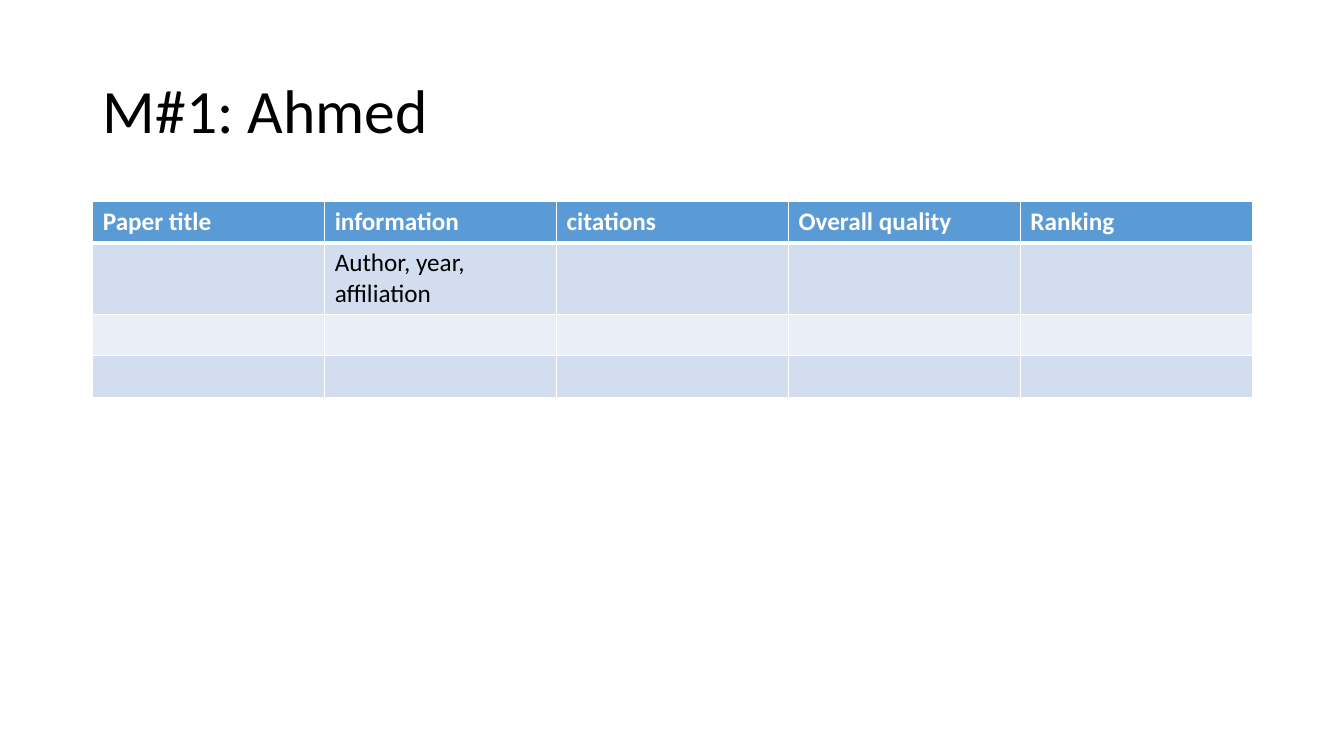
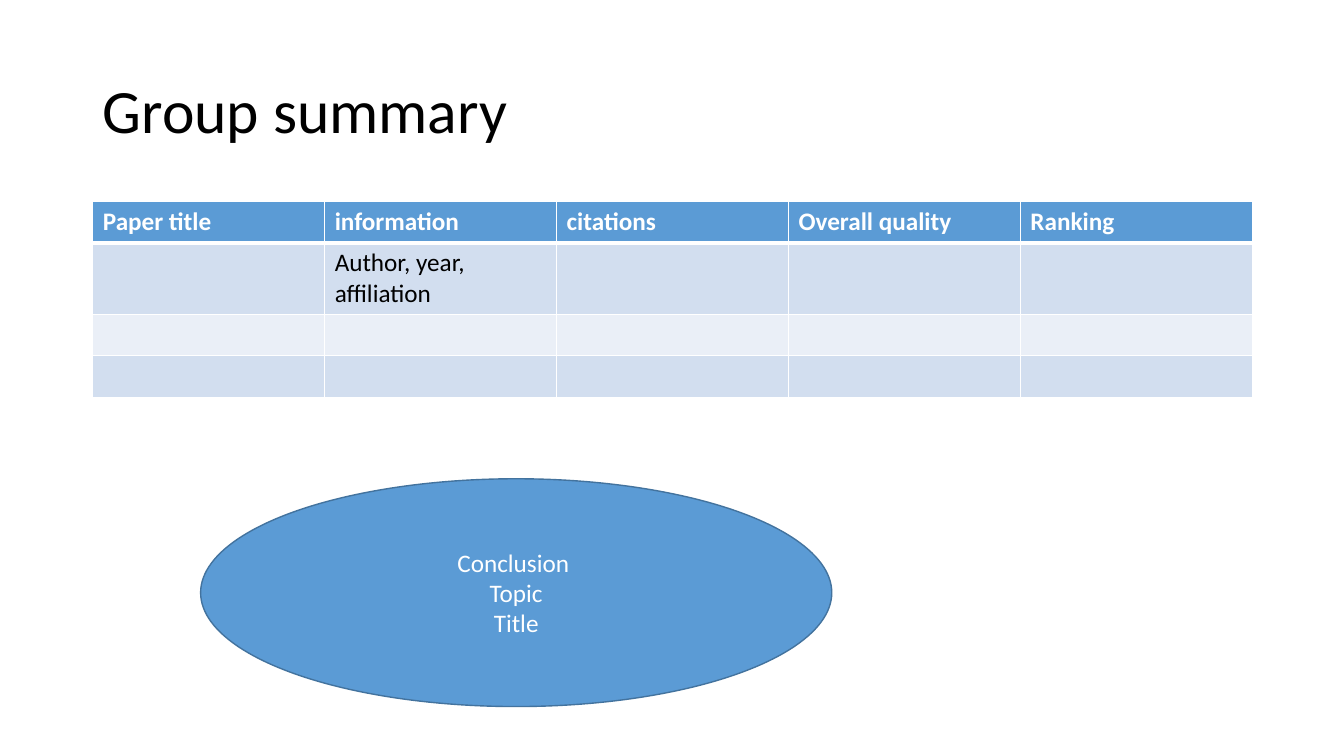
from dataclasses import dataclass

from lxml.etree import SubElement
from pptx import Presentation
from pptx.dml.color import RGBColor
from pptx.enum.shapes import MSO_SHAPE as SHAPE
from pptx.enum.text import MSO_ANCHOR as ANCHOR, PP_ALIGN as ALIGN
from pptx.oxml.ns import qn
from pptx.util import Emu, Pt

EMU_PER_PX = 9144  # 100 px to the inch
TITLE_ONLY = 5


@dataclass(frozen=True)
class Theme:
    font: str = "Calibri"
    title_size: int = 44
    text_size: int = 18
    rule: int = 1
    header_rule: int = 3
    dark: str = "000000"
    light: str = "FFFFFF"
    accent: str = "5B9BD5"
    outline: str = "43739E"
    bands: tuple = ("D2DEEF", "EAEFF7")


THEME = Theme()

# Content shared by both slides
LEFT, COL_W, ROW_H = 92, 230, 41
HEADERS = ["Paper title", "information", "citations", "Overall quality", "Ranking"]
ROWS = [HEADERS, ["", "Author, year, affiliation", "", "", ""], [""] * 5, [""] * 5]


def px(*lengths):
    return [Emu(n * EMU_PER_PX) for n in lengths]


def rgb(color):
    return RGBColor.from_string(color)


def paint(fill, color):
    fill.solid()
    fill.fore_color.rgb = rgb(color)


def add_run(p, text, size, color, bold=False):
    r = p.add_run()
    r.text = text
    r.font.name = THEME.font
    r.font.size = Pt(size)
    r.font.bold = bold
    r.font.color.rgb = rgb(color)


# Slide with its title
def add_slide(prs, title):
    slide = prs.slides.add_slide(prs.slide_layouts[TITLE_ONLY])
    sp = slide.shapes.title
    sp.left, sp.top, sp.width, sp.height = px(LEFT, 40, 5 * COL_W, 145)
    tf = sp.text_frame
    tf.vertical_anchor = ANCHOR.MIDDLE
    p = tf.paragraphs[0]
    p.alignment = ALIGN.LEFT
    p.line_spacing = 0.9
    add_run(p, title, THEME.title_size, THEME.dark)
    return slide


# Table with white rules, a header row and banded body rows
def set_borders(cell, top, bottom):
    tc_pr = cell._tc.get_or_add_tcPr()
    widths = {"L": THEME.rule, "R": THEME.rule, "T": top, "B": bottom}
    for side, width in widths.items():
        ln = SubElement(tc_pr, qn(f"a:ln{side}"), w=str(Pt(width)))
        SubElement(SubElement(ln, qn("a:solidFill")), qn("a:srgbClr"), val=THEME.light)


def format_cell(cell, text, row):
    is_header = row == 0
    set_borders(cell,
                top=THEME.header_rule if row == 1 else THEME.rule,
                bottom=THEME.header_rule if is_header else THEME.rule)
    paint(cell.fill, THEME.accent if is_header else THEME.bands[(row - 1) % 2])
    if text:
        add_run(cell.text_frame.paragraphs[0], text, THEME.text_size,
                THEME.light if is_header else THEME.dark, bold=is_header)


def add_paper_table(slide, rows):
    n_cols = len(rows[0])
    frame = slide.shapes.add_table(
        len(rows), n_cols, *px(LEFT, 200, n_cols * COL_W, len(rows) * ROW_H))
    table = frame.table
    for column in table.columns:
        column.width = px(COL_W)[0]
    for i, texts in enumerate(rows):
        table.rows[i].height = px(ROW_H)[0]
        for j, text in enumerate(texts):
            format_cell(table.cell(i, j), text, i)


# Ellipse with centred lines of text
def add_ellipse(slide, box, lines):
    sp = slide.shapes.add_shape(SHAPE.OVAL, *px(*box))
    sp.shadow.inherit = False
    paint(sp.fill, THEME.accent)
    sp.line.color.rgb = rgb(THEME.outline)
    sp.line.width = Pt(1)
    tf = sp.text_frame
    tf.word_wrap = True
    tf.vertical_anchor = ANCHOR.MIDDLE
    for i, line in enumerate(lines):
        p = tf.add_paragraph() if i else tf.paragraphs[0]
        p.alignment = ALIGN.CENTER
        add_run(p, line, THEME.text_size, THEME.light)


def main():
    prs = Presentation()
    prs.slide_width, prs.slide_height = px(1333, 750)

    for title in ("M#1: Ahmed", "Group summary"):
        slide = add_slide(prs, title)
        add_paper_table(slide, ROWS)

    # The summary closes with the conclusion
    add_ellipse(slide, (199, 475, 626, 226), ["Conclusion ", "Topic", "Title"])

    prs.save("out.pptx")


if __name__ == "__main__":
    main()
